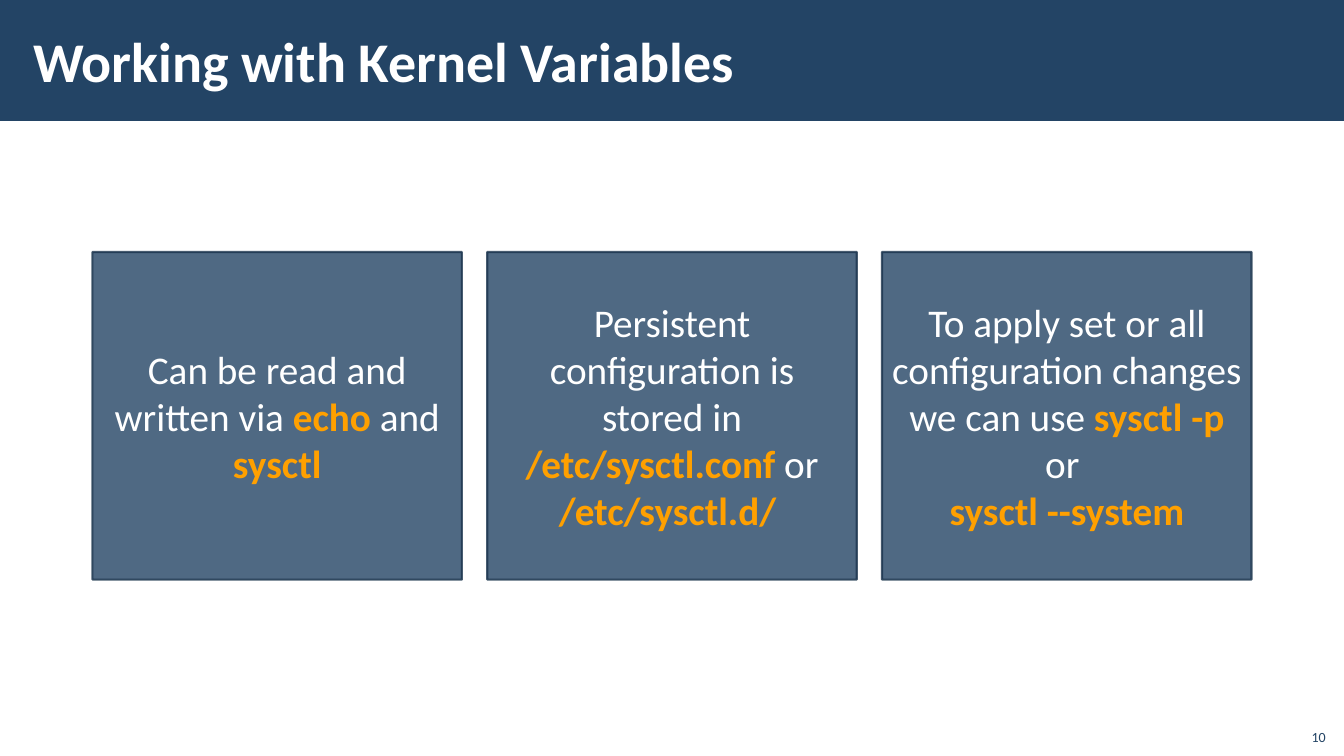
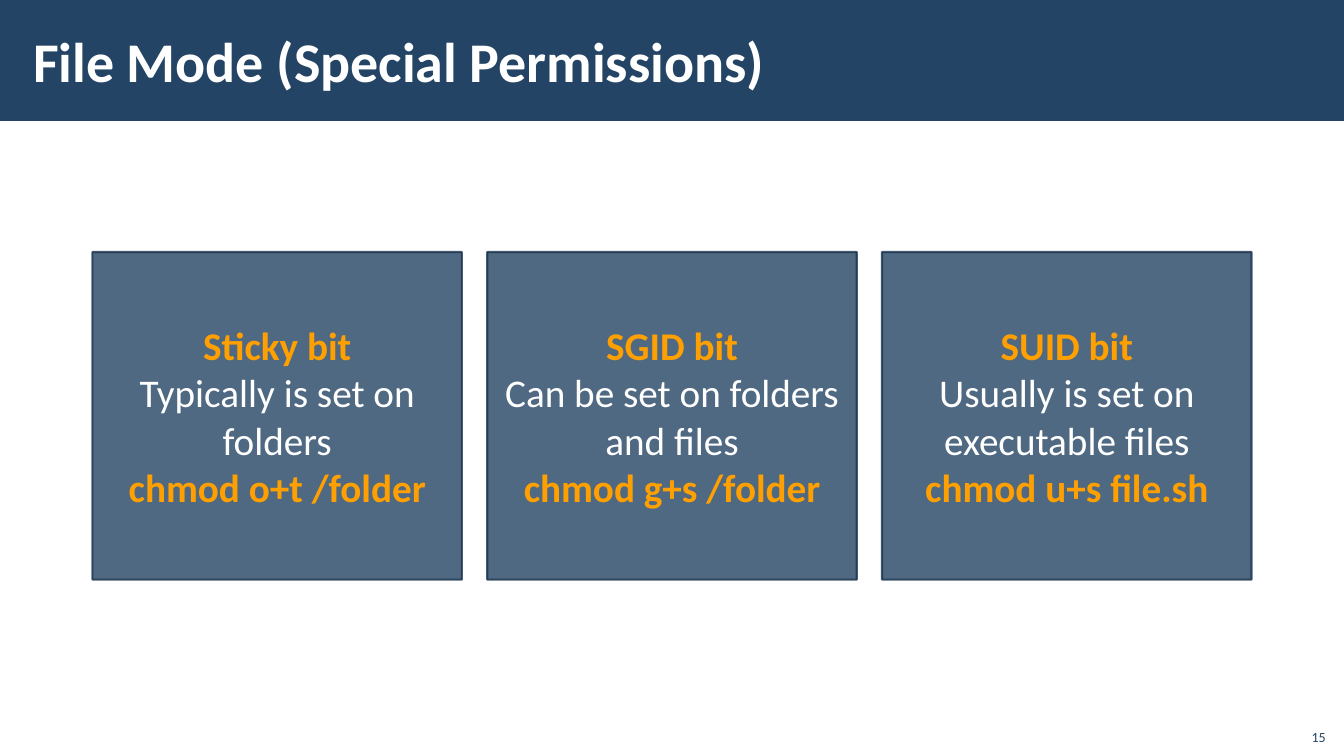
from pptx import Presentation
from pptx.dml.color import RGBColor as RGB
from pptx.enum.shapes import MSO_SHAPE as SHAPE
from pptx.enum.text import MSO_ANCHOR as ANCHOR, MSO_AUTO_SIZE as AUTO, PP_ALIGN as ALIGN
from pptx.oxml.ns import qn
from pptx.oxml.xmlchemy import OxmlElement as Node
from pptx.util import Pt

HUES = {"navy": "234465", "edge": "1A334C", "white": "FFFFFF", "amber": "FFA000"}
FONT = "Calibri"
WIDE, HIGH = 960, 540
BAND = (0, 0, WIDE, 86.4)
TITLE = (15, 8, 765, 70)
TILES = (66, 180, 828, 234)
PAGE = (925, 513, 29, 23)
GAP = 18

DECK = [
    ("Working with Kernel Variables", "10", [
        ["Can be read and written via *echo* and *sysctl*"],
        ["Persistent configuration is stored in */etc/sysctl.conf *or */etc/sysctl.d/ *"],
        ["To apply set or all configuration changes we can use *sysctl -p* or ",
         "*sysctl --system*"],
    ]),
    ("File Mode (Special Permissions)", "15", [
        ["*Sticky bit*", "Typically is set on folders", "*chmod o+t /folder*"],
        ["*SGID bit*", "Can be set on folders and files", "*chmod g+s /folder*"],
        ["*SUID bit*", "Usually is set on executable files", "*chmod u+s file.sh*"],
    ]),
]


def hue(name):
    return RGB.from_string(HUES[name])


def place(shape, box):
    shape.left, shape.top, shape.width, shape.height = map(Pt, box)


def add_run(para, text, size, color, bold=False):
    run = para.add_run()
    run.text = text
    font = run.font
    font.name, font.size, font.bold = FONT, Pt(size), bold
    font.color.rgb = hue(color)


def add_rect(slide, box):
    rect = slide.shapes.add_shape(SHAPE.RECTANGLE, *map(Pt, box))
    rect.shadow.inherit = False
    rect.fill.solid()
    rect.fill.fore_color.rgb = hue("navy")
    return rect


def add_band(slide, box):
    band = add_rect(slide, box)
    band.line.fill.background()
    slide.slide_layout.shapes.element.insert(2, band.element)


def add_title(slide, box, text):
    title = slide.shapes.title
    place(title, box)
    frame = title.text_frame
    frame.auto_size = AUTO.NONE
    frame.vertical_anchor = ANCHOR.MIDDLE
    frame.margin_left = frame.margin_right = Pt(8.64)
    frame.margin_top = frame.margin_bottom = Pt(2.88)
    para = frame.paragraphs[0]
    para.alignment = ALIGN.LEFT
    add_run(para, text, 40, "white", True)


def add_tile(slide, box, lines):
    tile = add_rect(slide, box)
    tile.line.color.rgb = hue("edge")
    tile.line.width = Pt(1.5)
    for color in tile.element.spPr.iter(qn("a:srgbClr")):
        alpha = Node("a:alpha")
        alpha.set("val", "80000")
        color.append(alpha)
    frame = tile.text_frame
    frame.word_wrap = True
    frame.vertical_anchor = ANCHOR.MIDDLE
    for row, line in enumerate(lines):
        para = frame.add_paragraph() if row else frame.paragraphs[0]
        para.alignment = ALIGN.CENTER
        for part, text in enumerate(line.split("*")):
            if text:
                code = part % 2 == 1
                add_run(para, text, 28, "amber" if code else "white", code)


def add_tiles(slide, box, tiles):
    left, top, width, height = box
    wide = (width - GAP * (len(tiles) - 1)) / len(tiles)
    for col, lines in enumerate(tiles):
        add_tile(slide, (left + col * (wide + GAP), top, wide, height), lines)


def add_page(slide, box, text):
    frame = slide.shapes.add_textbox(*map(Pt, box)).text_frame
    frame.word_wrap = True
    frame.vertical_anchor = ANCHOR.BOTTOM
    para = frame.paragraphs[0]
    para.alignment = ALIGN.RIGHT
    add_run(para, text, 10, "navy")


def build():
    deck = Presentation()
    deck.slide_width, deck.slide_height = Pt(WIDE), Pt(HIGH)
    layout = deck.slide_layouts[5]
    for index, (title, page, tiles) in enumerate(DECK):
        slide = deck.slides.add_slide(layout)
        if index == 0:
            add_band(slide, BAND)
        add_title(slide, TITLE, title)
        add_tiles(slide, TILES, tiles)
        add_page(slide, PAGE, page)
    deck.save("out.pptx")


build()
